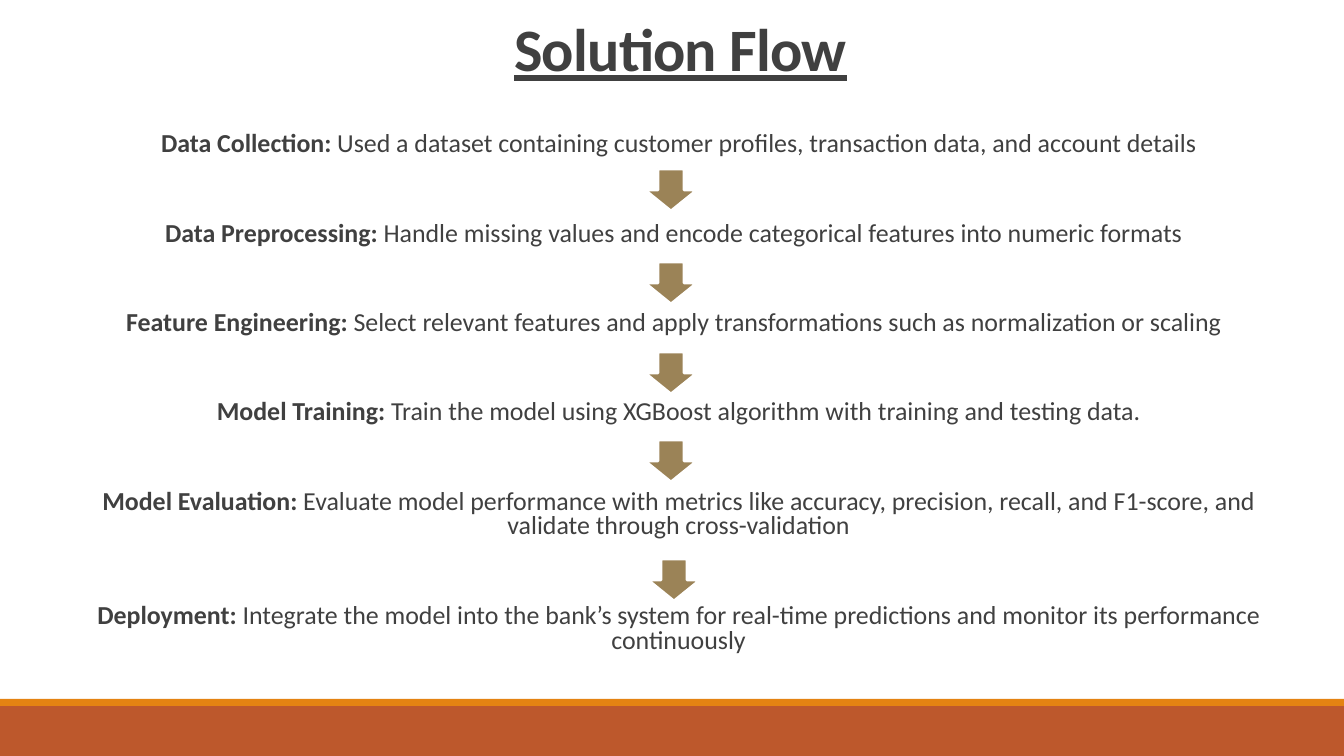
import pptx
import pptx.util
import pptx.dml.color
import pptx.enum.shapes
import pptx.enum.text

PX = 914400 / 100.8
W, H = 1344, 756
FONT = "Calibri"
INK = "404040"
SHAPE = pptx.enum.shapes.MSO_SHAPE
ANCHOR = pptx.enum.text.MSO_ANCHOR

STAGES = [
    ("Data Collection:", " Used a dataset containing customer profiles, transaction data, and account details", 10),
    ("Data Preprocessing:", " Handle missing values and encode categorical features into numeric formats", 0),
    ("Feature Engineering:", " Select relevant features and apply transformations such as normalization or scaling", 0),
    ("Model Training:", " Train the model using XGBoost algorithm with training and testing data.", 10),
    ("Model Evaluation:", " Evaluate model performance with metrics like accuracy, precision, recall, and F1-score, and validate through cross-validation", 10),
    ("Deployment:", " Integrate the model into the bank’s system for real-time predictions and monitor its performance continuously", 10),
]
ARROWS = [(0, 0), (0, 93), (0, 183), (0, 271), (3, 390)]


def px(n):
    return pptx.util.Emu(round(n * PX))


def rgb(color):
    return pptx.dml.color.RGBColor.from_string(color)


def add_shape(s, kind, box, fill, line=None):
    sp = s.shapes.add_shape(kind, *map(px, box))
    sp.shadow.inherit = False
    sp.fill.solid()
    sp.fill.fore_color.rgb = rgb(fill)
    if line:
        sp.line.color.rgb = rgb(line)
        sp.line.width = pptx.util.Pt(2)
    else:
        sp.line.fill.background()


def add_text(s, box, anchor, side):
    tf = s.shapes.add_textbox(*map(px, box)).text_frame
    tf.word_wrap = True
    tf.vertical_anchor = anchor
    tf.margin_left = tf.margin_right = px(side)
    tf.margin_top = tf.margin_bottom = px(5)
    return tf


def add_run(p, text, size, bold):
    r = p.add_run()
    r.text = text
    r.font.name = FONT
    r.font.size = pptx.util.Pt(size)
    r.font.bold = bold
    r.font.color.rgb = rgb(INK)
    return r


def footer(s, x, y, w, h):
    add_shape(s, SHAPE.RECTANGLE, (x, y + 7, w, h - 7), "BD582C")
    add_shape(s, SHAPE.RECTANGLE, (x, y, w, 7), "E48312")


def title(s, x, y, w, h):
    p = add_text(s, (x, y, w, h), ANCHOR.BOTTOM, 10).paragraphs[0]
    p.alignment = pptx.enum.text.PP_ALIGN.CENTER
    p.line_spacing = 0.85
    r = add_run(p, "Solution Flow", 43, True)
    r.font.underline = True
    r.font._element.set("spc", "-50")


def stages(s, x, y, w, h):
    tf = add_text(s, (x, y, w, h), ANCHOR.TOP, 0)
    for i, (name, detail, indent) in enumerate(STAGES):
        p = tf.add_paragraph() if i else tf.paragraphs[0]
        p.alignment = pptx.enum.text.PP_ALIGN.CENTER
        p.line_spacing = 0.8
        p.space_after = pptx.util.Pt(46)
        p._p.get_or_add_pPr().set("marL", str(px(indent)))
        add_run(p, name, 18.5, True)
        add_run(p, detail, 18.5, False)
    for dx, dy in ARROWS:
        add_shape(s, SHAPE.DOWN_ARROW, (x + 586 + dx, y + 41 + dy, 52, 42), "9B8357", "FFFFFF")


def main():
    prs = pptx.Presentation()
    prs.slide_width, prs.slide_height = px(W), px(H)
    s = prs.slides.add_slide(prs.slide_layouts[6])
    footer(s, 0, 699, W, 57)
    title(s, 91, 0, 1179, 89)
    stages(s, 59, 128, 1229, 563)
    prs.save("out.pptx")


if __name__ == "__main__":
    main()
